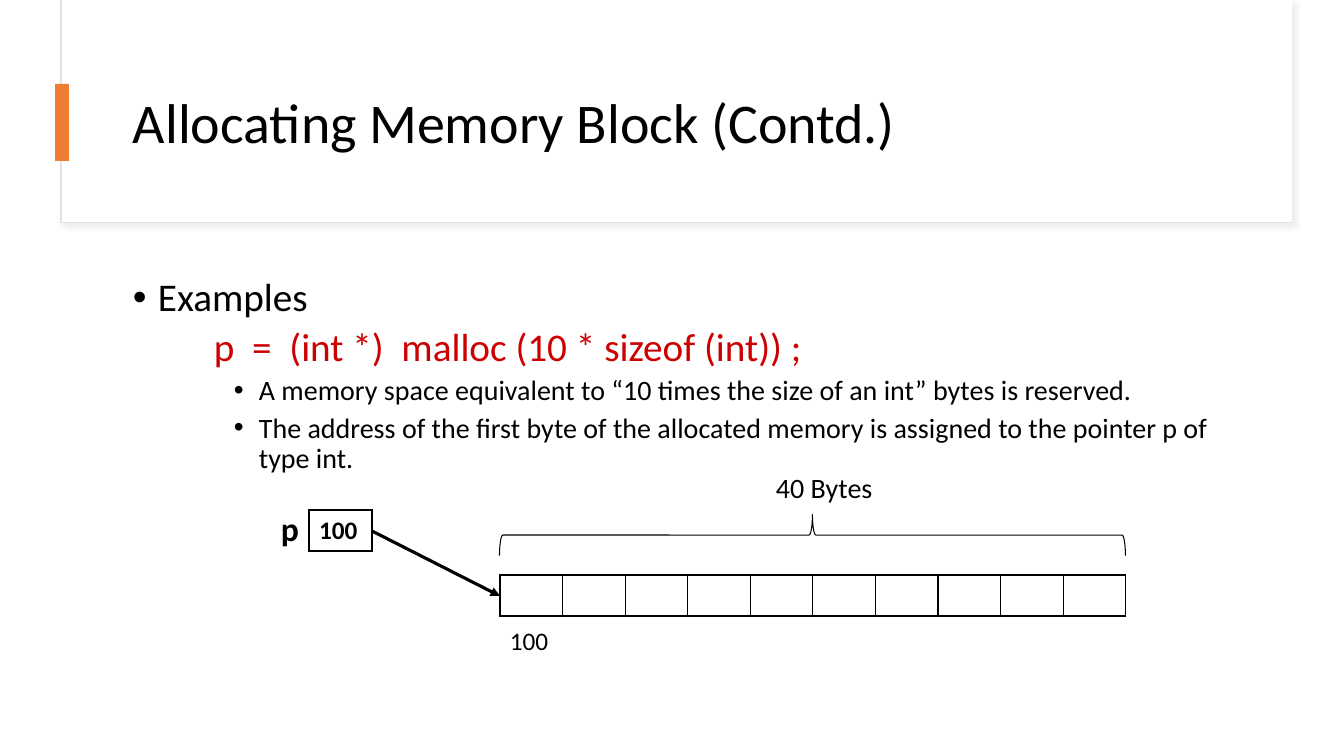
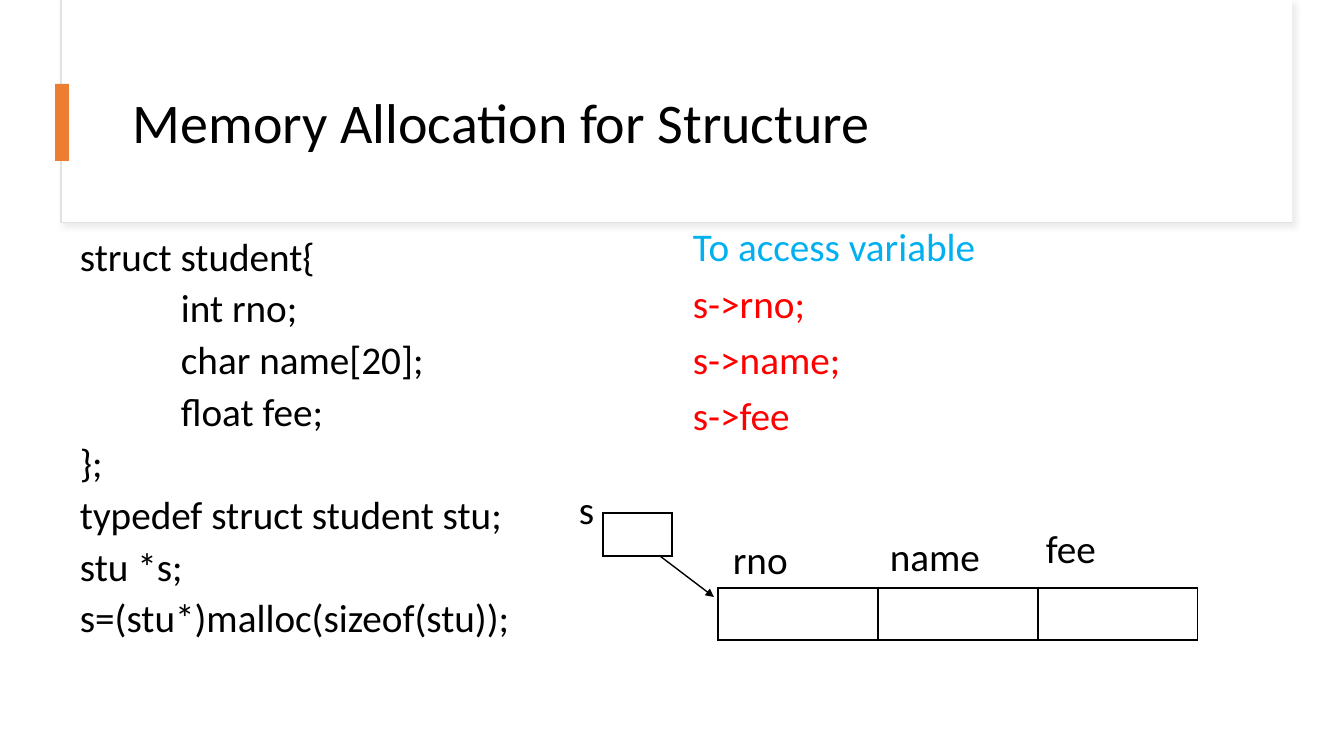
from pptx import Presentation
from pptx.dml.color import RGBColor
from pptx.enum.shapes import MSO_CONNECTOR, MSO_SHAPE
from pptx.enum.text import MSO_ANCHOR
from pptx.oxml import parse_xml
from pptx.oxml.ns import nsdecls, qn
from pptx.util import Pt
from lxml.etree import SubElement

SCALE = 914400 / 100.8
BLACK, WHITE, ORANGE = "000000", "FFFFFF", "ED7D31"
EDGE, SHADE = "E1E1E1", "D9D9D9"
CRIMSON, RED, SKY = "CC0000", "FF0000", "00B0F0"


def px(n):
    """Turn pixels into EMU."""
    return round(n * SCALE)


def tint(code):
    """Turn a hex string into a colour."""
    return RGBColor.from_string(code)


def apply(item, style):
    """Set each attribute named in a dict."""
    for name, value in style.items():
        setattr(item, name, value)


class Deck:
    """The shared style and the current slide."""

    font = "Calibri"

    def __init__(self):
        """Start an empty deck of 1344 by 756 pixels."""
        self.deck = Presentation()
        apply(self.deck, {"slide_width": px(1344), "slide_height": px(756)})
        self.slide = None

    def page(self, title):
        """Add a slide with its title band and accent bar."""
        self.slide = self.deck.slides.add_slide(self.deck.slide_layouts[6])
        frame = self.shape((61, 0, 1231, 223), WHITE, EDGE)
        self.shade(frame)
        self.shape((62, 0, 1230, 222), WHITE)
        self.text((123, 60, 1121, 130), [(title, {"ls": 0.9})], size=40, anchor=MSO_ANCHOR.MIDDLE)
        self.shape((55, 84, 14, 77), ORANGE)

    def shape(self, box, fill=None, line=None, kind=MSO_SHAPE.RECTANGLE, turn=0):
        """Add a preset shape."""
        item = self.slide.shapes.add_shape(kind, *map(px, box))
        item.shadow.inherit = False
        item.rotation = turn
        if fill:
            item.fill.solid()
            item.fill.fore_color.rgb = tint(fill)
        else:
            item.fill.background()
        if line:
            item.line.color.rgb = tint(line)
            item.line.width = Pt(0.75)
        else:
            item.line.fill.background()
        return item

    def shade(self, item):
        """Give a shape a soft shadow to the lower right."""
        effects = item._element.spPr.find(qn("a:effectLst"))
        effects.append(parse_xml(
            f'<a:outerShdw {nsdecls("a")} blurRad="{Pt(4)}" dist="{Pt(3)}" dir="2700000">'
            f'<a:srgbClr val="{SHADE}"><a:alpha val="50000"/></a:srgbClr></a:outerShdw>'))

    def run(self, para, words, size, color=BLACK, bold=False):
        """Add a run in the deck font."""
        run = para.add_run()
        run.text = words
        apply(run.font, {"name": self.font, "size": Pt(size), "bold": bold})
        run.font.color.rgb = tint(color)

    def text(self, box, lines, size, anchor=MSO_ANCHOR.TOP, wrap=True):
        """Add a text box from pairs of words and paragraph style."""
        frame = self.slide.shapes.add_textbox(*map(px, box)).text_frame
        apply(frame, {"word_wrap": wrap, "vertical_anchor": anchor})
        for n, (words, style) in enumerate(lines):
            para = frame.paragraphs[0] if n == 0 else frame.add_paragraph()
            apply(para, {"line_spacing": style.get("ls", 1.0),
                         "space_before": Pt(style.get("sb", 0))})
            self.indent(para, style.get("left", 0), style.get("bullet", False))
            self.run(para, words, style.get("size", size),
                     style.get("color", BLACK), style.get("bold", False))

    def indent(self, para, left, bullet):
        """Set the left margin and, if asked, a hanging bullet."""
        props = para._p.get_or_add_pPr()
        props.set("marL", str(px(left)))
        props.set("indent", str(px(-25 if bullet else 0)))
        if bullet:
            SubElement(props, qn("a:buFont")).set("typeface", "Arial")
            SubElement(props, qn("a:buChar")).set("char", "•")
        else:
            SubElement(props, qn("a:buNone"))

    def label(self, box, words, size, bold=False, wrap=True):
        """Add a one-line label."""
        self.text(box, [(words, {"bold": bold})], size, wrap=wrap)

    def cells(self, box, count, words="", fill=None):
        """Add a row of equal memory cells as a table."""
        table = self.slide.shapes.add_table(1, count, *map(px, box)).table
        apply(table, {"first_row": False, "horz_banding": False})
        for col in table.columns:
            col.width = px(box[2] / count)
        for cell in table.iter_cells():
            self.border(cell)
            if fill:
                cell.fill.solid()
                cell.fill.fore_color.rgb = tint(fill)
            else:
                cell.fill.background()
            if words:
                self.run(cell.text_frame.paragraphs[0], words, 18, bold=True)

    def border(self, cell):
        """Draw a thin line on all four sides of a cell."""
        props = cell._tc.get_or_add_tcPr()
        for side in ("lnL", "lnR", "lnT", "lnB"):
            line = SubElement(props, qn("a:" + side), w=str(Pt(1)))
            solid = SubElement(line, qn("a:solidFill"))
            SubElement(solid, qn("a:srgbClr"), val=BLACK)

    def arrow(self, start, end, width):
        """Add a straight arrow."""
        item = self.slide.shapes.add_connector(
            MSO_CONNECTOR.STRAIGHT, *map(px, start + end))
        item.line.color.rgb = tint(BLACK)
        item.line.width = Pt(width)
        SubElement(item.line._get_or_add_ln(), qn("a:tailEnd"), type="triangle")
        SubElement(item._element.spPr, qn("a:effectLst"))


def block(deck):
    """Build the slide on a block of ten integers."""
    deck.page("Allocating Memory Block (Contd.)")
    point = {"ls": 0.9, "sb": 5, "left": 126, "bullet": True, "size": 20}
    deck.text((123, 273, 1121, 407), [
        ("Examples", {"ls": 0.9, "sb": 10, "left": 25, "bullet": True}),
        ("p  =  (int *)  malloc (10 * sizeof (int)) ;",
         {"ls": 0.9, "sb": 5, "left": 81, "color": CRIMSON}),
        ("A memory space equivalent to “10 times the size of an int” bytes is reserved.", point),
        ("The address of the first byte of the allocated memory is assigned "
         "to the pointer p of type int.", point),
    ], size=28)
    deck.cells((500, 575, 626, 41), 10)
    deck.cells((309, 510, 63, 41), 1, "100")
    deck.label((271, 503, 38, 50), "p", 24, bold=True, wrap=False)
    deck.label((500, 620, 68, 40), "100", 18)
    deck.arrow((372, 531), (500, 596), 2.25)
    deck.shape((792, 222, 41, 626), line=BLACK, kind=MSO_SHAPE.RIGHT_BRACE, turn=270)
    deck.label((766, 466, 118, 44), "40 Bytes", 20)


def struct(deck):
    """Build the slide on memory for a structure."""
    deck.page("Memory Allocation for Structure")
    code = {"ls": 0.8, "sb": 10}
    field = {**code, "left": 101}
    deck.text((70, 236, 605, 446), [
        ("struct student{", code),
        ("int rno;", field),
        ("char name[20];", field),
        ("float fee;", field),
        ("};", code),
        ("typedef struct student stu;", code),
        ("stu *s;", code),
        ("s=(stu*)malloc(sizeof(stu));", code),
    ], size=28)
    head = {"ls": 0.9, "sb": 10, "color": SKY}
    usage = {**head, "color": RED}
    deck.text((683, 223, 605, 446), [
        ("To access variable", head),
        *((words, usage) for words in ("s->rno;", "s->name;", "s->fee")),
    ], size=28)
    deck.cells((603, 513, 69, 43), 1, fill=WHITE)
    deck.cells((718, 588, 480, 52), 3, fill=WHITE)
    deck.arrow((660, 556), (714, 597), 1)
    for words, left, top, width in (("s", 569, 480, 38), ("rno", 723, 530, 82),
                                    ("name", 880, 527, 112), ("fee", 1036, 519, 101)):
        deck.label((left, top, width, 57), words, 28)


show = Deck()
block(show)
struct(show)
show.deck.save("out.pptx")
